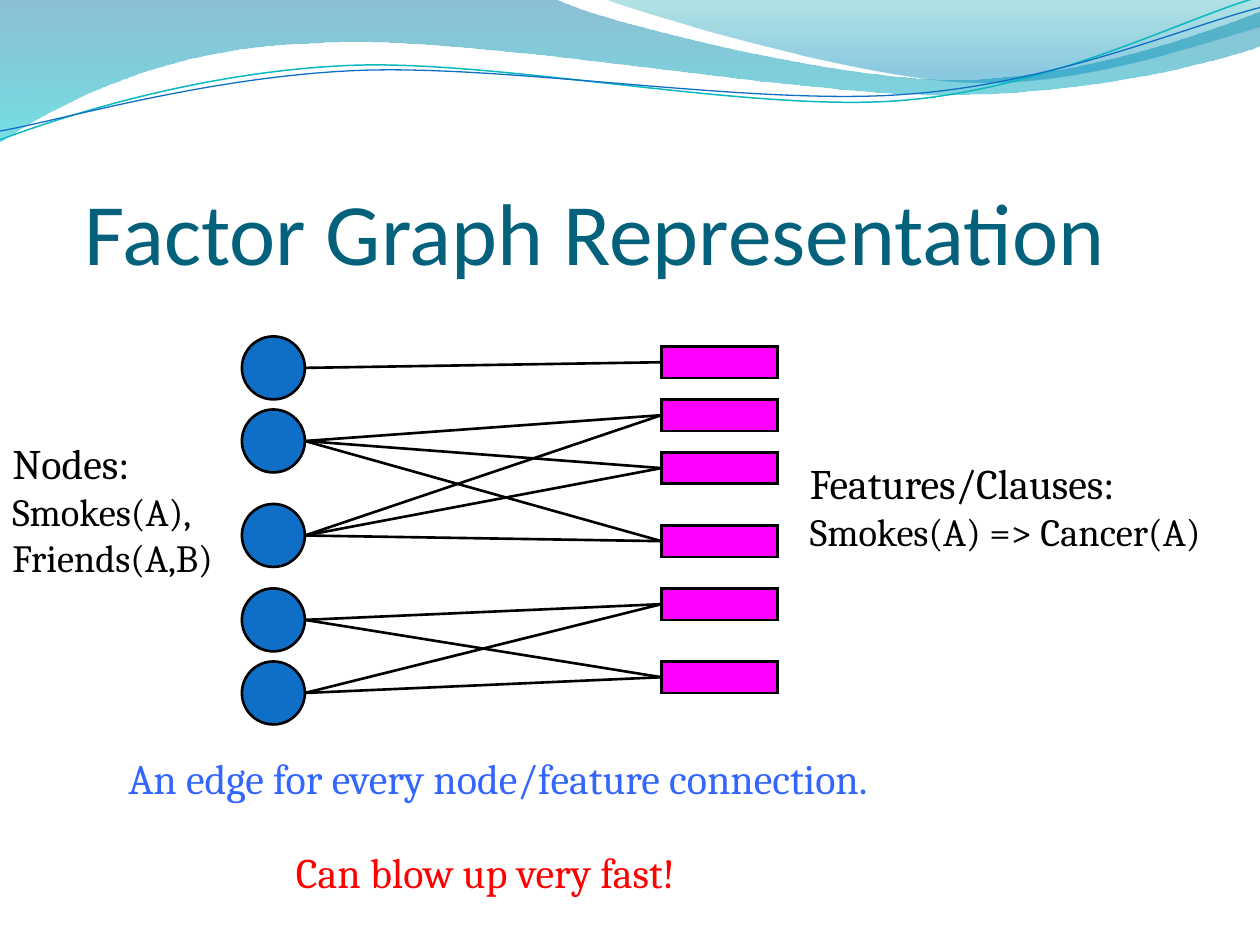
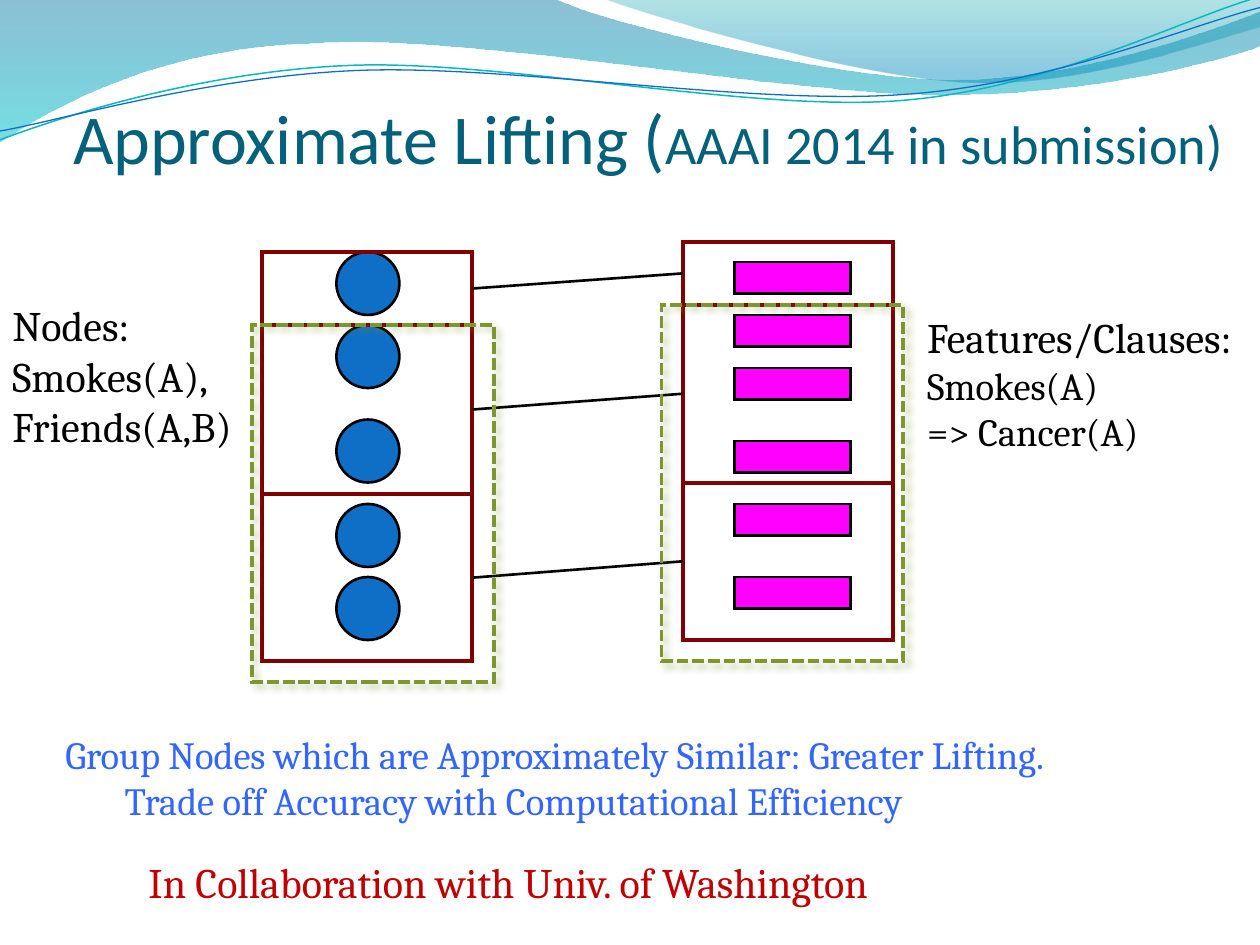
from lxml import etree
from pptx import Presentation
from pptx.dml.color import RGBColor
from pptx.enum.dml import MSO_LINE
from pptx.enum.shapes import MSO_CONNECTOR, MSO_SHAPE
from pptx.enum.text import MSO_ANCHOR, MSO_AUTO_SIZE
from pptx.oxml.ns import qn
from pptx.util import Inches, Pt

OVAL, RECT = MSO_SHAPE.OVAL, MSO_SHAPE.RECTANGLE
STRAIGHT = MSO_CONNECTOR.STRAIGHT
DASH = MSO_LINE.SQUARE_DOT
BOTTOM, TOP = MSO_ANCHOR.BOTTOM, MSO_ANCHOR.TOP
GROW, FIXED = MSO_AUTO_SIZE.SHAPE_TO_FIT_TEXT, MSO_AUTO_SIZE.NONE
LEFT, RIGHT = 1, 3

BLACK = RGBColor(0x00, 0x00, 0x00)
BLUE = RGBColor(0x0F, 0x6F, 0xC6)
PINK = RGBColor(0xFF, 0x00, 0xFF)
MAROON = RGBColor(0x80, 0x00, 0x00)
OLIVE = RGBColor(0x7E, 0x96, 0x32)
TITLE = RGBColor(0x04, 0x61, 0x7B)
NOTE = RGBColor(0x33, 0x66, 0xFF)
RED = RGBColor(0xFF, 0x00, 0x00)
DARK = RGBColor(0xC0, 0x00, 0x00)
TEAL = RGBColor(0x0A, 0xB8, 0xBF)
SEA = RGBColor(0x00, 0x74, 0xA1)
AQUA = RGBColor(0x00, 0xC6, 0xCF)
MINT = RGBColor(0x00, 0xA1, 0xA9)
SKY = RGBColor(0x00, 0x8B, 0xBF)

HEAD, BODY = "Calibri", "Cambria"
NODE = 0.5
FEAT_W, FEAT_H = 0.92, 0.25
NODE_TOPS = (0, 0.58, 1.33, 2, 2.58)
FEAT_TOPS = (0.08, 0.5, 0.92, 1.5, 2, 2.58)
EDGES = {0: (0,), 1: (1, 2, 3), 2: (1, 2, 3), 3: (4, 5), 4: (4, 5)}
GROUP_W = 1.67

BANDS = (
    ([(0, 0), (4.4, -0.01),
      (4.76, 0.17, 6.64, 0.63, 7.58, 0.63), (8.53, 0.63, 9.58, 0.26, 10, 0.09),
      (10.01, 0.36), (9.83, 0.44, 8.7, 0.76, 7.46, 0.75),
      (6.22, 0.75, 3.82, 0.28, 2.57, 0.34), (1.29, 0.36, 0.46, 0.83, -0.01, 1.13)],
     ((0, SEA, 45), (1, AQUA, 55))),
    ([(4.79, -0.01), (5.09, 0.11, 6.82, 0.62, 7.69, 0.65),
      (8.56, 0.69, 9.61, 0.32, 10, 0.21), (10, 0)],
     ((0, MINT, 30), (0.8, SKY, 45))),
)
CURVES = (
    ([(0, 1.11), (0.48, 0.93, 1.58, 0.57, 2.77, 0.52),
      (3.95, 0.47, 5.93, 0.89, 7.13, 0.8), (8.33, 0.71, 9.38, 0.15, 9.98, -0.02)],
     TEAL, 0.85),
    ([(0, 1.04), (0.47, 0.96, 1.64, 0.61, 2.83, 0.56),
      (4.03, 0.51, 5.97, 0.84, 7.17, 0.75), (8.36, 0.67, 9.41, 0.21, 10, 0.06)],
     BLUE, 0.75),
)


def outline(slide, parts, close):
    points = [(Inches(part[i]), Inches(part[i + 1]))
              for part in parts for i in range(0, len(part), 2)]
    pen = slide.shapes.build_freeform(*points[0])
    pen.add_line_segments(points[1:], close=close)
    shape = pen.convert_to_shape()
    shape.shadow.inherit = False
    legs = iter(list(shape._element.iter(qn("a:lnTo"))))
    for part in parts[1:]:
        leg = next(legs)
        if len(part) == 6:
            leg.tag = qn("a:cubicBezTo")
            for _ in range(2):
                extra = next(legs)
                leg.append(extra[0])
                extra.getparent().remove(extra)
    return shape


def waves(slide, master):
    shapes = []
    for parts, stops in BANDS:
        shape = outline(slide, parts, True)
        shape.line.fill.background()
        shape.fill.gradient()
        shape.fill.gradient_angle = 270
        for stop, (place, color, _) in zip(shape.fill.gradient_stops, stops):
            stop.position = place
            stop.color.rgb = color
        tints = shape._element.spPr.iter(qn("a:srgbClr"))
        for tint, (_, _, alpha) in zip(tints, stops):
            etree.SubElement(tint, qn("a:alpha"), val=str(alpha * 1000))
        shapes.append(shape)
    for parts, color, width in CURVES:
        shape = outline(slide, parts, False)
        shape.fill.background()
        shape.line.color.rgb = color
        shape.line.width = Pt(width)
        shapes.append(shape)
    for number, shape in enumerate(shapes, 101):
        shape._element.nvSpPr.cNvPr.set("id", str(number))
        master.shapes._spTree.append(shape._element)


def text(slide, box, lines, color, font=BODY, anchor=TOP, fit=GROW, indents=()):
    frame = slide.shapes.add_textbox(*map(Inches, box)).text_frame
    frame.word_wrap = True
    frame.auto_size = fit
    frame.vertical_anchor = anchor
    for i, line in enumerate(lines):
        para = frame.paragraphs[0] if i == 0 else frame.add_paragraph()
        if i < len(indents):
            para._p.get_or_add_pPr().set("marL", str(Inches(indents[i])))
        for words, size in line:
            run = para.add_run()
            run.text = words
            run.font.size = Pt(size)
            run.font.name = font
            run.font.color.rgb = color
    return frame


def title(slide, box, runs):
    frame = text(slide, box, [runs], TITLE, HEAD, BOTTOM, FIXED)
    frame.margin_left = frame.margin_right = frame.margin_bottom = 0


def block(slide, kind, box, fill, line, width):
    shape = slide.shapes.add_shape(kind, *map(Inches, box))
    shape.shadow.inherit = False
    if fill is None:
        shape.fill.background()
    else:
        shape.fill.solid()
        shape.fill.fore_color.rgb = fill
    shape.line.color.rgb = line
    shape.line.width = Pt(width)
    edge = shape._element.spPr.find(qn("a:ln"))
    etree.SubElement(edge, qn("a:miter"), lim="800000")
    return shape


def link(slide, start, end):
    line = slide.shapes.add_connector(STRAIGHT, *map(Inches, start + end))
    line.line.color.rgb = BLACK
    line.line.width = Pt(1.5)
    etree.SubElement(line._element.spPr, qn("a:effectLst"))
    return line


def nodes(slide, x, y):
    for top in NODE_TOPS:
        block(slide, OVAL, (x, y + top, NODE, NODE), BLUE, BLACK, 1.5)


def feats(slide, x, y):
    return [block(slide, RECT, (x, y + top, FEAT_W, FEAT_H), PINK, BLACK, 1.5)
            for top in FEAT_TOPS]


def edges(slide, x, y, ends):
    for node, picks in EDGES.items():
        start = (x + NODE, y + NODE_TOPS[node] + NODE / 2)
        for pick in picks:
            link(slide, start, start).end_connect(ends[pick], LEFT)


def groups(slide, x, y, heights):
    boxes = []
    for height in heights:
        boxes.append(block(slide, RECT, (x, y, GROUP_W, height), None, MAROON, 2.25))
        y += height
    return boxes


def merge(slide, x, y):
    shape = block(slide, RECT, (x, y, 1.92, 2.83), None, OLIVE, 2.25)
    shape.line.dash_style = DASH
    glow = shape._element.spPr.find(qn("a:effectLst"))
    shade = etree.SubElement(glow, qn("a:outerShdw"), blurRad=str(Pt(4)),
                             dist=str(Pt(3)), dir="2700000", rotWithShape="0")
    tint = etree.SubElement(shade, qn("a:srgbClr"), val=str(OLIVE))
    etree.SubElement(tint, qn("a:alpha"), val="43000")


def factor(slide):
    title(slide, (0.67, 1.25, 8.5, 1), [("Factor Graph Representation", 50)])
    x, y = 1.92, 2.67
    nodes(slide, x, y)
    edges(slide, x, y, feats(slide, 5.25, y))
    text(slide, (0, 3.42, 2.17, 1.25),
         [[("Nodes: ", 24), ("Smokes(A), Friends(A,B)", 22)]], BLACK)
    text(slide, (6.33, 3.58, 3.67, 0.88),
         [[("Features/Clauses:", 24)], [("Smokes(A) => Cancer(A)", 22)]], BLACK)
    text(slide, (0.92, 5.92, 6.67, 0.5),
         [[("An edge for every node/feature connection.", 24)]], NOTE)
    text(slide, (2.25, 6.67, 3.75, 0.5), [[("Can blow up very fast!", 24)]], RED)


def lifting(slide):
    title(slide, (0.58, 0.42, 9.42, 1),
          [("Approximate Lifting (", 40), ("AAAI 2014 in submission)", 31)])
    y = 2
    nodes(slide, 2.67, y)
    feats(slide, 5.83, y)
    lefts = groups(slide, 2.08, y, (0.58, 1.34, 1.33))
    rights = groups(slide, 5.42, y - 0.08, (0.5, 1.41, 1.25))
    for near, far in zip(lefts, rights):
        line = link(slide, (0, 0), (1, 1))
        line.begin_connect(near, RIGHT)
        line.end_connect(far, LEFT)
    text(slide, (1.08, 6.75, 8.33, 0.5),
         [[("In Collaboration with Univ. of Washington", 24)]], DARK)
    text(slide, (0.42, 5.75, 9.25, 0.84),
         [[("Group Nodes which are Approximately Similar: Greater Lifting.", 22)],
          [("Trade off Accuracy with Computational Efficiency", 22)]],
         NOTE, indents=(0, 0.47))
    text(slide, (0, 2.33, 2.08, 1.31),
         [[(words, 24)] for words in ("Nodes:", "Smokes(A),", "Friends(A,B)")], BLACK)
    text(slide, (7.26, 2.42, 2.74, 1.25),
         [[("Features/Clauses:", 24)], [("Smokes(A)", 22)], [("=> Cancer(A)", 22)]],
         BLACK)
    merge(slide, 2, 2.58)
    merge(slide, 5.25, 2.42)


def main():
    deck = Presentation()
    deck.slide_width, deck.slide_height = Inches(10), Inches(7.5)
    blank = deck.slide_layouts[6]
    first, second = (deck.slides.add_slide(blank) for _ in range(2))
    waves(first, deck.slide_master)
    factor(first)
    lifting(second)
    deck.save("out.pptx")


if __name__ == "__main__":
    main()
